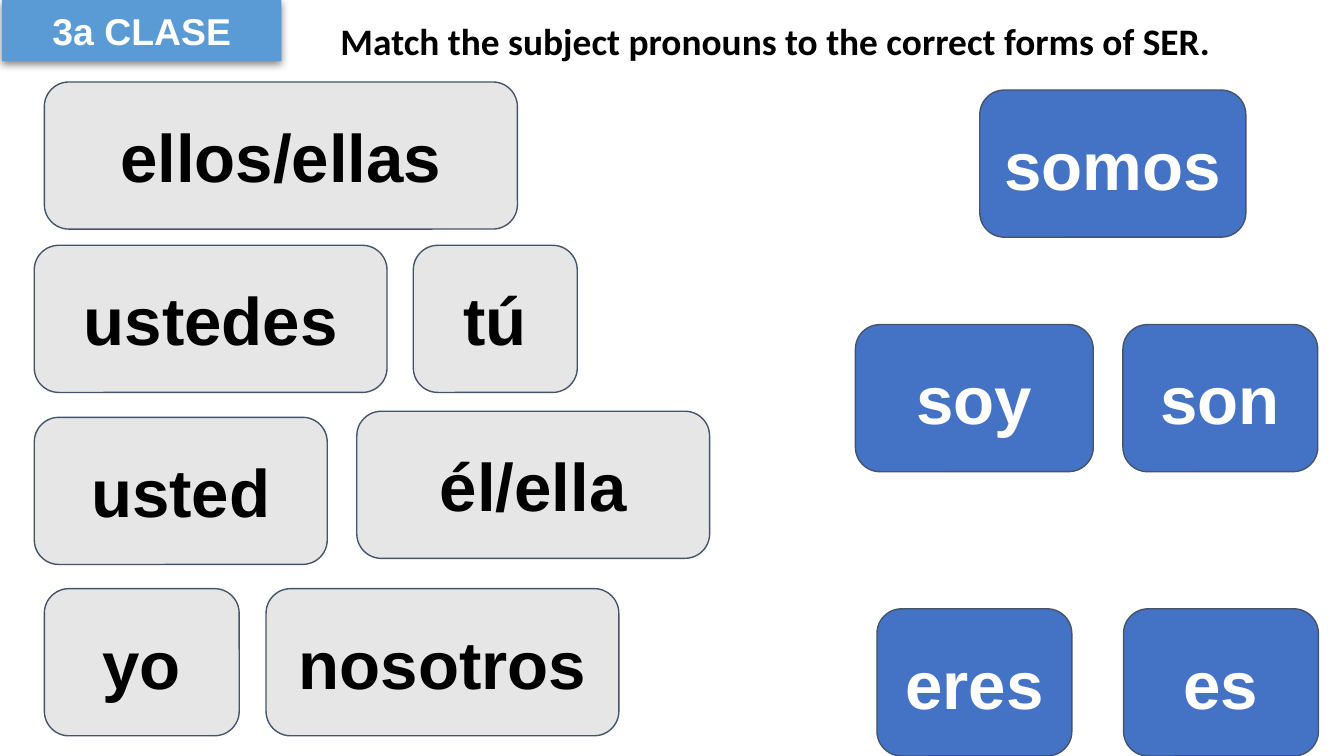
from pptx import Presentation
from pptx.dml.color import RGBColor
from pptx.enum.shapes import MSO_SHAPE
from pptx.enum.text import MSO_ANCHOR, MSO_AUTO_SIZE, PP_ALIGN
from pptx.oxml import parse_xml
from pptx.oxml.ns import nsdecls, qn
from pptx.util import Pt

PX = 4572  # 200 px to the inch
COLORS = {
    "tag": "5B9BD5",
    "pronoun": "E7E6E6",
    "verb": "4472C4",
    "outline": "44546A",
    "black": "000000",
    "white": "FFFFFF",
}
CARD_HEIGHT = 219


def rgb(name):
    return RGBColor.from_string(COLORS[name])


def write(sp, text, size, font, color, align, anchor):
    tf = sp.text_frame
    tf.word_wrap = True
    tf.vertical_anchor = anchor
    tf.margin_left = tf.margin_right = tf.margin_top = tf.margin_bottom = 20 * PX
    tf.text = text
    p = tf.paragraphs[0]
    p.alignment = align
    r = p.runs[0]
    r.font.size = Pt(size)
    r.font.name = font
    r.font.bold = True
    r.font.color.rgb = rgb(color)


prs = Presentation()
prs.slide_width = 2000 * PX
prs.slide_height = 1125 * PX
s = prs.slides.add_slide(prs.slide_layouts[6])

# Class tag with a soft shadow below it
tag = s.shapes.add_shape(MSO_SHAPE.RECTANGLE, 3 * PX, 0, 416 * PX, 91 * PX)
tag.fill.solid()
tag.fill.fore_color.rgb = rgb("tag")
tag.line.fill.background()
tag.shadow.inherit = False
tag.element.spPr.find(qn("a:effectLst")).append(parse_xml(
    f'<a:outerShdw {nsdecls("a")} blurRad="{Pt(4.5)}" dist="{Pt(1.5)}" '
    'dir="5400000" algn="ctr" rotWithShape="0">'
    f'<a:srgbClr val="{COLORS["black"]}"><a:alpha val="50000"/></a:srgbClr>'
    '</a:outerShdw>'))
write(tag, "3a CLASE", 20, "Arial", "white", PP_ALIGN.CENTER, MSO_ANCHOR.MIDDLE)

# Cards to match: text, left, top, width
pronouns = [
    ("tú", 615, 365, 244),
    ("yo", 66, 876, 290),
    ("él/ella", 531, 612, 525),
    ("usted", 51, 621, 436),
    ("nosotros", 396, 876, 525),
    ("ellos/ellas", 66, 122, 704),
    ("ustedes", 51, 365, 525),
]
verbs = [
    ("soy", 1273, 483, 354),
    ("eres", 1305, 906, 290),
    ("es", 1672, 906, 290),
    ("somos", 1458, 134, 396),
    ("son", 1671, 483, 290),
]
for cards, fill, color in ((pronouns, "pronoun", "black"), (verbs, "verb", "white")):
    for text, left, top, width in cards:
        sp = s.shapes.add_shape(MSO_SHAPE.ROUNDED_RECTANGLE, left * PX, top * PX,
                                width * PX, CARD_HEIGHT * PX)
        sp.adjustments[0] = 0.167
        sp.shadow.inherit = False
        sp.fill.solid()
        sp.fill.fore_color.rgb = rgb(fill)
        sp.line.color.rgb = rgb("outline")
        sp.line.width = Pt(0.75)
        write(sp, text, 36, "Arial", color, PP_ALIGN.CENTER, MSO_ANCHOR.MIDDLE)

# Instruction
title = s.shapes.add_textbox(487 * PX, 7 * PX, 1513 * PX, 108 * PX)
write(title, "Match the subject pronouns to the correct forms of SER.", 20,
      "Calibri", "black", PP_ALIGN.LEFT, MSO_ANCHOR.TOP)
title.text_frame.auto_size = MSO_AUTO_SIZE.SHAPE_TO_FIT_TEXT

prs.save("out.pptx")
